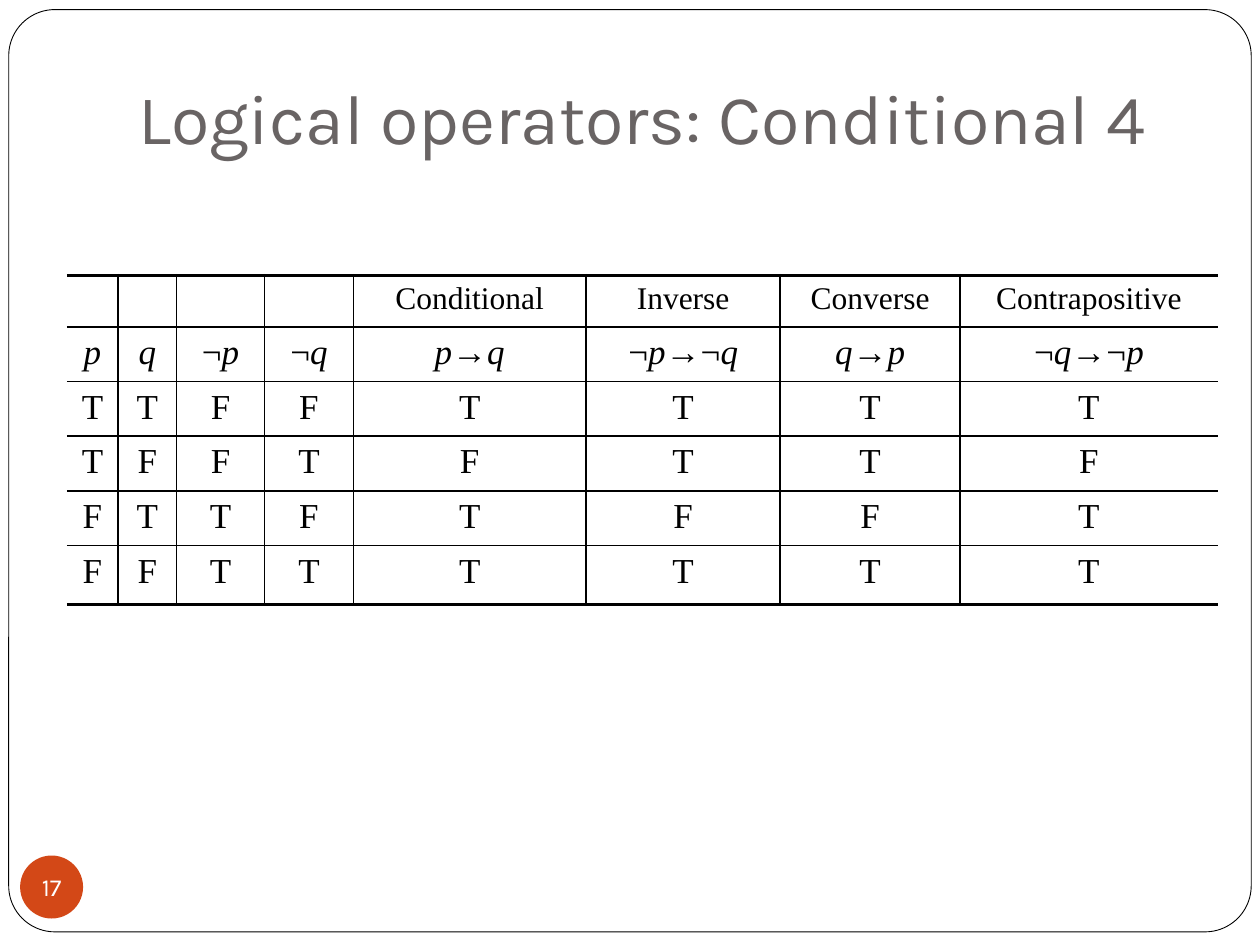
import lxml.etree
import pptx
import pptx.dml.color
import pptx.enum.shapes
import pptx.enum.text
import pptx.oxml.ns
import pptx.util

Pt = pptx.util.Pt
BLACK = "000000"
WHITE = "FFFFFF"
COLUMN_WIDTHS = [29.3, 33.3, 50.5, 50.6, 133.1, 110.9, 102.8, 147.3]
ROW_HEIGHTS = [29.4] * 5 + [33.8]
HEADINGS = ["", "", "", "", "Conditional", "Inverse", "Converse", "Contrapositive"]
FORMULAS = [
    ["p"], ["q"], ["¬", "p"], ["¬", "q"],
    ["p", "→", "q"], ["¬", "p", "→¬", "q"],
    ["q", "→", "p"], ["¬", "q", "→¬", "p"],
]
TRUTH_VALUES = ["TTFFTTTT", "TFFTFTTF", "FTTFTFFT", "FFTTTTTT"]


def color(value):
    return pptx.dml.color.RGBColor.from_string(value)


def format_run(run, font_name, size, font_color):
    run.font.name = font_name
    run.font.size = Pt(size)
    run.font.color.rgb = color(font_color)


def add_shape(slide, kind, left, top, width, height, fill, line=None):
    shape = slide.shapes.add_shape(kind, Pt(left), Pt(top), Pt(width), Pt(height))
    shape.shadow.inherit = False
    shape.fill.solid()
    shape.fill.fore_color.rgb = color(fill)
    if line:
        shape.line.color.rgb = color(line)
        shape.line.width = Pt(0.5)
    else:
        shape.line.fill.background()
    return shape


def add_frame(slide):
    kind = pptx.enum.shapes.MSO_SHAPE.ROUNDED_RECTANGLE
    frame = add_shape(slide, kind, 5, 5.5, 710, 527, WHITE, BLACK)
    frame.adjustments[0] = 0.05


def add_title(slide, text):
    title = slide.shapes.add_textbox(Pt(72), Pt(21.6), Pt(612), Pt(90))
    text_frame = title.text_frame
    text_frame.word_wrap = True
    text_frame.vertical_anchor = pptx.enum.text.MSO_ANCHOR.MIDDLE
    text_frame.text = text
    format_run(text_frame.paragraphs[0].runs[0], "Karla", 40, "696464")


def add_page_number(slide, text):
    kind = pptx.enum.shapes.MSO_SHAPE.OVAL
    badge = add_shape(slide, kind, 11.5, 488.9, 36, 36, "D34817")
    text_frame = badge.text_frame
    text_frame.margin_left = text_frame.margin_right = 0
    text_frame.margin_top = text_frame.margin_bottom = 0
    text_frame.word_wrap = False
    text_frame.vertical_anchor = pptx.enum.text.MSO_ANCHOR.MIDDLE
    text_frame.text = text
    paragraph = text_frame.paragraphs[0]
    paragraph.alignment = pptx.enum.text.PP_ALIGN.CENTER
    format_run(paragraph.runs[0], "Karla", 14, WHITE)


def set_border(cell, side, width):
    qualified = pptx.oxml.ns.qn
    properties = cell._tc.get_or_add_tcPr()
    border = lxml.etree.SubElement(properties, qualified("a:ln" + side))
    border.set("w", str(int(Pt(width))))
    if width:
        fill = lxml.etree.SubElement(border, qualified("a:solidFill"))
        lxml.etree.SubElement(fill, qualified("a:srgbClr")).set("val", BLACK)
    else:
        lxml.etree.SubElement(border, qualified("a:noFill"))


def style_cell(cell, row, column):
    last_row, last_column = len(ROW_HEIGHTS) - 1, len(COLUMN_WIDTHS) - 1
    set_border(cell, "L", 0 if column == 0 else 1)
    set_border(cell, "R", 0 if column == last_column else 1)
    set_border(cell, "T", 2.25 if row == 0 else 1)
    set_border(cell, "B", 2.25 if row == last_row else 1)
    if row > 0 and column > 3:
        cell.fill.solid()
        cell.fill.fore_color.rgb = color(WHITE)
    else:
        cell.fill.background()


def write_cell(cell, parts, size):
    paragraph = cell.text_frame.paragraphs[0]
    paragraph.alignment = pptx.enum.text.PP_ALIGN.CENTER
    paragraph.space_before = Pt(5.8)
    for part in parts:
        run = paragraph.add_run()
        run.text = part
        format_run(run, "Times New Roman", size, BLACK)
        run.font.italic = part in ("p", "q")


def add_truth_table(slide):
    rows = [[[text] if text else [] for text in HEADINGS], FORMULAS]
    rows += [[[value] for value in values] for values in TRUTH_VALUES]
    table = slide.shapes.add_table(
        len(rows), len(COLUMN_WIDTHS), Pt(38.2), Pt(157.4),
        Pt(sum(COLUMN_WIDTHS)), Pt(sum(ROW_HEIGHTS)),
    ).table
    table.first_row = False
    table.horz_banding = False
    for column, width in zip(table.columns, COLUMN_WIDTHS):
        column.width = Pt(width)
    for row, height in zip(table.rows, ROW_HEIGHTS):
        row.height = Pt(height)
    for row, contents in enumerate(rows):
        for column, parts in enumerate(contents):
            cell = table.cell(row, column)
            style_cell(cell, row, column)
            write_cell(cell, parts, 18 if row == 0 else 20)


def main():
    presentation = pptx.Presentation()
    presentation.slide_width = Pt(720)
    presentation.slide_height = Pt(540)
    slide = presentation.slides.add_slide(presentation.slide_layouts[6])
    add_frame(slide)
    add_title(slide, "Logical operators: Conditional 4")
    add_truth_table(slide)
    add_page_number(slide, "17")
    presentation.save("out.pptx")


if __name__ == "__main__":
    main()
